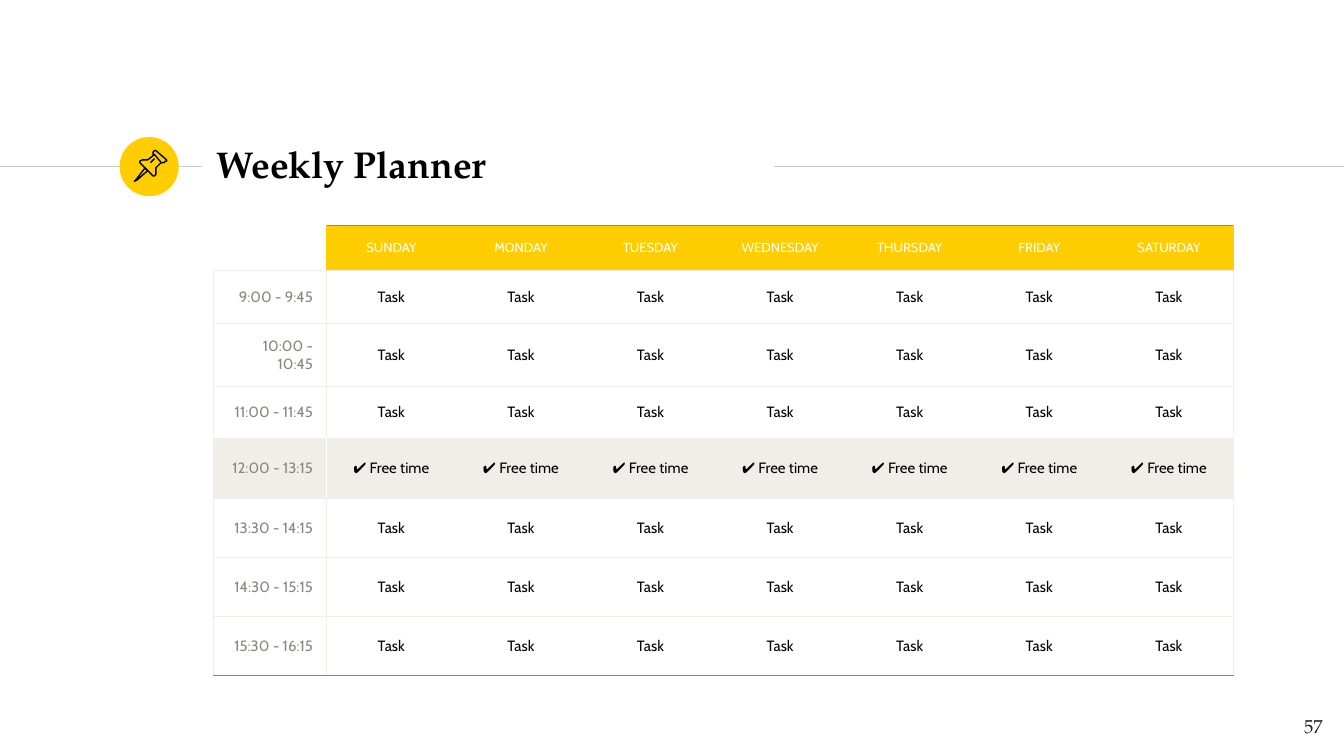
import pptx
import pptx.util
import pptx.dml.color
import pptx.enum.shapes
import pptx.enum.text
import lxml.etree
from pptx.oxml.ns import qn

Inches, Pt = pptx.util.Inches, pptx.util.Pt
RGB = pptx.dml.color.RGBColor.from_string
ALIGN = pptx.enum.text.PP_ALIGN
MID = pptx.enum.text.MSO_ANCHOR.MIDDLE

# Content
TITLE = "Weekly Planner"
PAGE = "57"
DAYS = ["SUNDAY", "MONDAY", "TUESDAY", "WEDNESDAY", "THURSDAY", "FRIDAY", "SATURDAY"]
BREAK = "✔ Free time"
LOW, HIGH = 1 / 2.54, 0.44  # row heights, the low one is a centimetre
SLOTS = [  # time, entry, row height
    ("9:00 - 9:45", "Task", LOW),
    ("10:00 - 10:45", "Task", HIGH),
    ("11:00 - 11:45", "Task", LOW),
    ("12:00 - 13:15", BREAK, HIGH),
    ("13:30 - 14:15", "Task", HIGH),
    ("14:30 - 15:15", "Task", HIGH),
    ("15:30 - 16:15", "Task", HIGH),
]
RULES = [(0, 1.5), (5.76, 10)]
RULE_Y = 1.24
PIN = [  # points, closed
    ([(1.08, 1.25), (1.01, 1.34), (1, 1.35), (1.02, 1.34), (1.1, 1.27)], True),
    ([(1.15, 1.15), (1.2, 1.21), (1.22, 1.21), (1.23, 1.2), (1.24, 1.2),
      (1.24, 1.19), (1.16, 1.12), (1.15, 1.12), (1.14, 1.13), (1.14, 1.15)], True),
    ([(1.15, 1.15), (1.1, 1.19), (1.08, 1.19), (1.06, 1.19), (1.04, 1.2),
      (1.04, 1.21), (1.14, 1.31), (1.15, 1.31), (1.16, 1.3), (1.16, 1.28),
      (1.16, 1.25), (1.2, 1.21)], False),
    ([(1.12, 1.21), (1.15, 1.18)], False),
]

# Formats
HEX = {"sun": "FFCD00", "rule": "CCCCCC", "pale": "F0EEE9", "gray": "8A8682",
       "ink": "000000", "page": "1D1D1B", "white": "FFFFFF"}
SERIF, SANS = "TeX Gyre Pagella", "Cabin"
HEAD = {"name": SERIF, "size": Pt(20), "bold": True}
FOOT = {"name": SERIF, "size": Pt(10)}
DAY = {"name": SANS, "size": Pt(7)}
BODY = {"name": SANS, "size": Pt(8)}
PAD = Inches(0.1)
FRAME = {"margin_left": PAD, "margin_right": PAD, "margin_top": PAD,
         "margin_bottom": PAD, "vertical_anchor": MID}

# Wide slide, 16 by 9
deck = pptx.Presentation()
deck.slide_width = Inches(10)
deck.slide_height = deck.slide_width * 9 // 16
slide = deck.slides.add_slide(deck.slide_layouts[6])
shapes = slide.shapes


def apply(item, form):
    for key, value in form.items():
        setattr(item, key, value)


def write(par, text, form, color, align):
    par.alignment = align
    run = par.add_run()
    run.text = text
    apply(run.font, form)
    run.font.color.rgb = RGB(HEX[color])


def label(box, text, form, color, align):
    frame = shapes.add_textbox(*map(Inches, box)).text_frame
    apply(frame, {**FRAME, "word_wrap": True})
    write(frame.paragraphs[0], text, form, color, align)


def edge(cell, **sides):
    """Draw the named sides; the others get no line."""
    props = cell._tc.get_or_add_tcPr()
    for spot, side in enumerate("LRTB"):
        line = lxml.etree.Element(qn("a:ln" + side), w=str(Pt(0.75)))
        color = sides.get(side)
        if color:
            fill = lxml.etree.SubElement(line, qn("a:solidFill"))
            lxml.etree.SubElement(fill, qn("a:srgbClr"), val=HEX[color])
        else:
            lxml.etree.SubElement(line, qn("a:noFill"))
        props.insert(spot, line)


# Rules and badge
for start, end in RULES:
    rule = shapes.add_connector(pptx.enum.shapes.MSO_CONNECTOR.STRAIGHT,
                                *map(Inches, (start, RULE_Y, end, RULE_Y)))
    rule.line.color.rgb = RGB(HEX["rule"])
    rule.line.width = Pt(0.75)
    lxml.etree.SubElement(rule._element.spPr, qn("a:effectLst"))
badge = shapes.add_shape(pptx.enum.shapes.MSO_SHAPE.OVAL,
                         *map(Inches, (0.89, 1.02, 0.44, 0.44)))
badge.shadow.inherit = False
badge.fill.solid()
badge.fill.fore_color.rgb = RGB(HEX["sun"])
badge.line.fill.background()

# Title and page number
label((1.51, 0.98, 4.24, 0.48), TITLE, HEAD, "ink", ALIGN.LEFT)
label((9.34, 5.19, 0.6, 0.43), PAGE, FOOT, "page", ALIGN.RIGHT)

# Planner table
wide = [0.84] + [6.75 / len(DAYS)] * len(DAYS)
tall = [0.31] + [slot[2] for slot in SLOTS]
rows, cols = len(tall), len(wide)
table = shapes.add_table(rows, cols, *map(Inches, (1.59, 1.68, sum(wide), sum(tall)))).table
apply(table, {"first_row": False, "horz_banding": False})
for col, size in zip(table.columns, wide):
    col.width = Inches(size)
for row, size in zip(table.rows, tall):
    row.height = Inches(size)

grid = [[""] + DAYS] + [[time] + [entry] * len(DAYS) for time, entry, _ in SLOTS]
for r, line in enumerate(grid):
    rest = BREAK in line
    for c, text in enumerate(line):
        cell = table.cell(r, c)
        apply(cell, FRAME)
        par = cell.text_frame.paragraphs[0]
        first, last = c == 0, c == cols - 1
        shade = "sun" if r == 0 and not first else "pale" if rest else None
        if shade:
            cell.fill.solid()
            cell.fill.fore_color.rgb = RGB(HEX[shade])
        else:
            cell.fill.background()
        if r == 0:
            if first:  # a small empty corner keeps the row low
                tail = lxml.etree.SubElement(par._p, qn("a:endParaRPr"), sz="800")
                lxml.etree.SubElement(tail, qn("a:latin"), typeface=SANS)
            else:
                write(par, text, DAY, "white", ALIGN.CENTER)
            edge(cell, L="sun" if c == 1 else None, R="sun" if first or last else None,
                 T=None if first else "gray", B="pale")
        else:
            write(par, text, BODY, "gray" if first else "ink",
                  ALIGN.RIGHT if first else ALIGN.CENTER)
            split = "white" if rest else "pale"
            edge(cell, L="pale" if first else split if c == 1 else None,
                 R=split if first else "pale" if last else None,
                 T="pale", B="gray" if r == rows - 1 else "pale")

# Pin icon
for points, closed in PIN:
    spots = [(Inches(x), Inches(y)) for x, y in points]
    pen = shapes.build_freeform(*spots[0])
    pen.add_line_segments(spots[1:], close=closed)
    part = pen.convert_to_shape()
    part.shadow.inherit = False
    part.fill.background()
    part.line.color.rgb = RGB(HEX["ink"])
    part.line.width = Pt(0.75)

deck.save("out.pptx")
